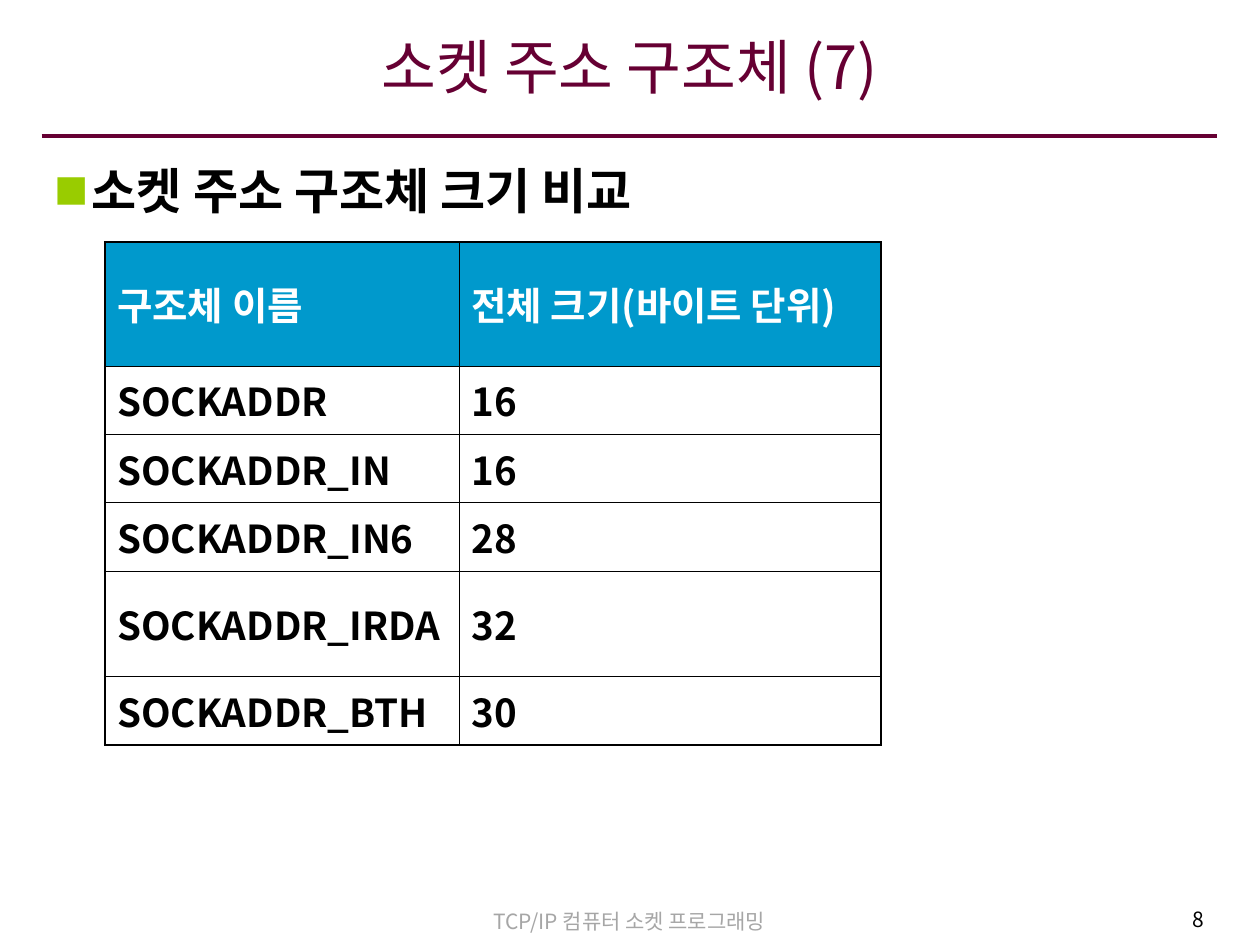
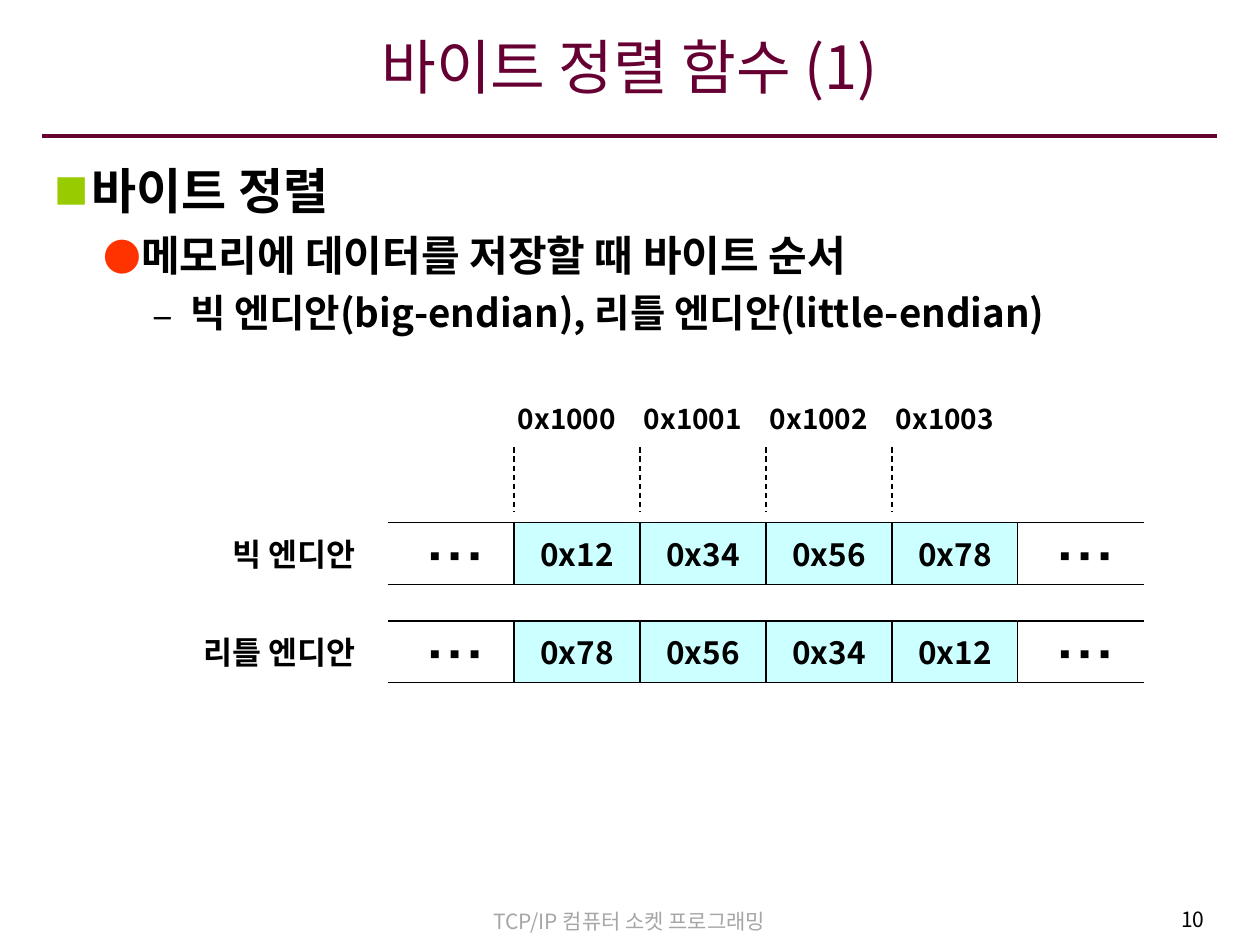
from lxml import etree
from pptx import Presentation
from pptx.dml.color import RGBColor
from pptx.enum.dml import MSO_LINE
from pptx.enum.shapes import MSO_CONNECTOR, MSO_SHAPE
from pptx.enum.text import MSO_ANCHOR, MSO_AUTO_SIZE, PP_ALIGN
from pptx.oxml.ns import qn
from pptx.util import Cm, Pt

LEFT, CENTER, RIGHT = PP_ALIGN.LEFT, PP_ALIGN.CENTER, PP_ALIGN.RIGHT
TOP, MIDDLE = MSO_ANCHOR.TOP, MSO_ANCHOR.MIDDLE
NO_FIT = MSO_AUTO_SIZE.NONE
DASH = MSO_LINE.DASH
STRAIGHT, RECT = MSO_CONNECTOR.STRAIGHT, MSO_SHAPE.RECTANGLE

FONT = "Noto Sans CJK KR"
BLACK, WHITE, GRAY = "000000", "FFFFFF", "A6A6A6"
WINE, BLUE, AQUA = "660033", "0099CC", "CCFFFF"
FOOTER = "TCP/IP 컴퓨터 소켓 프로그래밍"

EDGE, WIDE = 0.84, 23.7
# Per level: indent (cm), space before, size, bullet, bullet colour, bullet percent
LEVELS = [
    (0.76, 7, 28, "■", "99CC00", 70),
    (1.75, 6, 24, "●", "FF3300", 90),
    (2.74, 5.5, 22, "–", BLACK, 100),
]
HANG = 0.76

SIZES = [
    ("구조체 이름", "전체 크기(바이트 단위)"),
    ("SOCKADDR", "16"),
    ("SOCKADDR_IN", "16"),
    ("SOCKADDR_IN6", "28"),
    ("SOCKADDR_IRDA", "32"),
    ("SOCKADDR_BTH", "30"),
]
COLS = [7.14, 8.51]
ROWS = [2.13, 1.19, 1.19, 1.19, 2.13, 1.19]
THICK, THIN = 1.08, 0.45

BYTES = ["0x12", "0x34", "0x56", "0x78"]
ORDERS = [("빅 엔디안", BYTES), ("리틀 엔디안", BYTES[::-1])]
STEP, HIGH = 2.54, 1.24
BYTE_X, BYTE_Y, ROW_GAP = 10.36, 10.54, 1.98


def color(code):
    return RGBColor.from_string(code)


def place(shape, box):
    for name, value in zip(("left", "top", "width", "height"), box):
        setattr(shape, name, Cm(value))


def node(parent, tag, **attrs):
    """Append an XML child such as 'a:ln' with the given attributes."""
    child = etree.SubElement(parent, qn(tag))
    for name, value in attrs.items():
        child.set(name, str(value))
    return child


def write(para, text, size, ink=BLACK, bold=True, align=LEFT, font=FONT):
    para.alignment = align
    run = para.add_run()
    run.text = text
    for name, value in {"size": Pt(size), "bold": bold, "name": font}.items():
        setattr(run.font, name, value)
    run.font.color.rgb = color(ink)
    node(run.font._element, "a:ea", typeface=font)


def frame(shape, wrap=True, anchor=MIDDLE):
    """Set up the text frame of a shape and give its first paragraph."""
    text = shape.text_frame
    values = {"auto_size": NO_FIT, "word_wrap": wrap, "vertical_anchor": anchor}
    for name, value in values.items():
        setattr(text, name, value)
    return text.paragraphs[0]


def label(slide, text, box, size, wrap=False, anchor=MIDDLE, **fmt):
    shape = slide.shapes.add_textbox(*map(Cm, box))
    write(frame(shape, wrap, anchor), text, size, **fmt)


def line(slide, x1, y1, x2, y2, ink=BLACK, width=0.75, dash=None):
    link = slide.shapes.add_connector(STRAIGHT, *map(Cm, (x1, y1, x2, y2)))
    link.line.color.rgb = color(ink)
    link.line.width = Pt(width)
    if dash:
        link.line.dash_style = dash
    node(link._element.spPr, "a:effectLst")


def byte(slide, text, x, y):
    shape = slide.shapes.add_shape(RECT, *map(Cm, (x, y, STEP, HIGH)))
    shape.shadow.inherit = False
    shape.fill.solid()
    shape.fill.fore_color.rgb = color(AQUA)
    shape.line.color.rgb = color(BLACK)
    shape.line.width = Pt(0.75)
    write(frame(shape, wrap=False), text, 18, align=CENTER)


def bullet(para, text, level):
    indent, space, size, mark, ink, scale = LEVELS[level]
    para.level = level
    para.space_before = Pt(space)
    write(para, text, size)
    props = para._p.get_or_add_pPr()
    props.set("marL", str(Cm(indent)))
    props.set("indent", str(-Cm(HANG)))
    node(node(props, "a:buClr"), "a:srgbClr", val=ink)
    node(props, "a:buSzPct", val=scale * 1000)
    node(props, "a:buFont", typeface=FONT)
    node(props, "a:buChar", char=mark)


def page(deck, title, number, items):
    """Add a slide with title, rule, footer, number and bulleted items."""
    slide = deck.slides.add_slide(deck.slide_layouts[1])
    head, body = slide.placeholders
    line(slide, EDGE, 2.74, EDGE + WIDE, 2.74, WINE, 2.25)
    label(slide, FOOTER, (7.29, 18.19, 10.8, 0.76), 12, True, TOP,
          ink=GRAY, bold=False, align=CENTER)
    label(slide, str(number), (19.15, 18.16, 5.38, 0.84), 12, True, TOP,
          bold=False, align=RIGHT)

    place(head, (EDGE, 0.38, WIDE, 2.16))
    write(frame(head), title, 34, WINE, False, CENTER)
    head.text_frame.margin_bottom = Cm(0.41)

    place(body, (EDGE, 3.1, WIDE, 14.88))
    para = frame(body, anchor=TOP)
    for level, text in enumerate(items):
        if level:
            para = body.text_frame.add_paragraph()
        bullet(para, text, level)
    return slide


def border(cell, **sides):
    """Draw the cell borders; sides are L, R, T and B in points."""
    props = cell._tc.get_or_add_tcPr()
    for side, width in sides.items():
        edge = node(props, "a:ln" + side, w=int(Pt(width)))
        node(node(edge, "a:solidFill"), "a:srgbClr", val=BLACK)


def grid(slide, data, x, y):
    box = map(Cm, (x, y, sum(COLS), sum(ROWS)))
    table = slide.shapes.add_table(len(ROWS), len(COLS), *box).table
    table.first_row = table.horz_banding = False
    for col, width in zip(table.columns, COLS):
        col.width = Cm(width)
    for row, height in zip(table.rows, ROWS):
        row.height = Cm(height)
    for r, texts in enumerate(data):
        for c, text in enumerate(texts):
            cell = table.cell(r, c)
            border(cell,
                   L=THIN if c else THICK,
                   R=THICK if c == len(COLS) - 1 else THIN,
                   T=THIN if r else THICK,
                   B=THICK if r == len(ROWS) - 1 else THIN)
            if r:
                cell.fill.background()
            else:
                cell.fill.solid()
                cell.fill.fore_color.rgb = color(BLUE)
            cell.vertical_anchor = MIDDLE
            para = cell.text_frame.paragraphs[0]
            para.space_before = Pt(5.5)
            write(para, text, 22, BLACK if r else WHITE)


def gap(slide, x, y):
    """Draw the open memory beside the bytes: dots between two lines."""
    label(slide, "▪ ▪ ▪", (x + 0.18, y, 2.34, HIGH), 18,
          align=CENTER, font="Arial")
    for level in (y, y + HIGH):
        line(slide, x, level, x + STEP, level)


def memory(slide):
    for i in range(len(BYTES)):
        x = BYTE_X + i * STEP
        label(slide, f"0x{0x1000 + i:x}", (x - 0.2, 7.82, STEP, HIGH), 16,
              align=CENTER)
        line(slide, x, 9.02, x, 10.31, dash=DASH)
    for row, (name, order) in enumerate(ORDERS):
        y = BYTE_Y + row * ROW_GAP
        label(slide, name, (4.29, y, 3.12, HIGH), 18, align=RIGHT)
        for i, text in enumerate(order):
            byte(slide, text, BYTE_X + i * STEP, y)
        gap(slide, BYTE_X - STEP, y)
        gap(slide, BYTE_X + len(order) * STEP, y)


def main():
    deck = Presentation()
    deck.slide_width, deck.slide_height = Cm(25.4), Cm(19.05)

    slide = page(deck, "소켓 주소 구조체 (7)", 8, ["소켓 주소 구조체 크기 비교"])
    grid(slide, SIZES, 2.11, 4.88)

    slide = page(deck, "바이트 정렬 함수 (1)", 10, [
        "바이트 정렬",
        "메모리에 데이터를 저장할 때 바이트 순서",
        "빅 엔디안(big-endian), 리틀 엔디안(little-endian)",
    ])
    memory(slide)

    deck.save("out.pptx")


if __name__ == "__main__":
    main()
